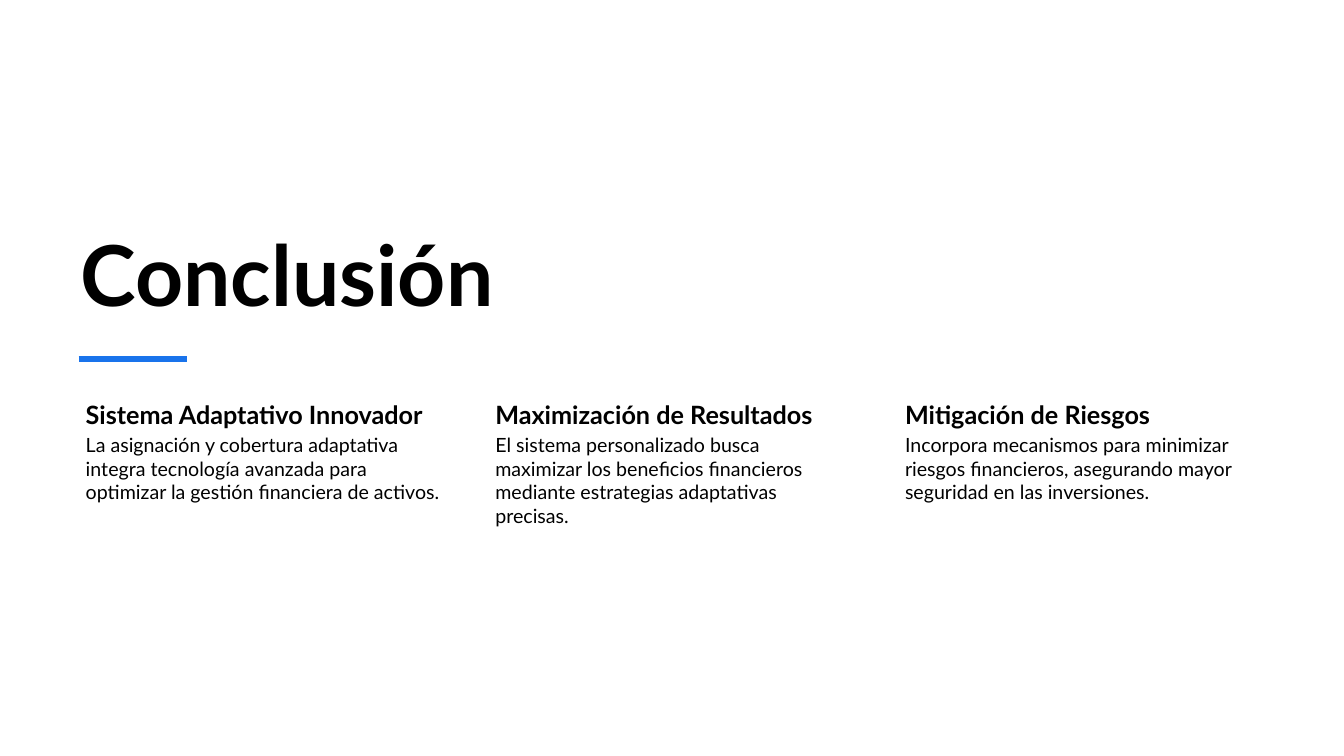
import pptx
import pptx.util
import pptx.dml.color
import pptx.enum.shapes
import pptx.enum.text
import pptx.oxml
from dataclasses import dataclass

Cm = pptx.util.Cm
Pt = pptx.util.Pt
RGB = pptx.dml.color.RGBColor
Text = pptx.enum.text


@dataclass(frozen=True)
class Theme:
    font: str = "Lato"
    ink: RGB = RGB(0, 0, 0)
    blue: RGB = RGB(0x19, 0x73, 0xEB)
    title: float = 60
    head: float = 18
    body: float = 14
    rule: float = 4.5


THEME = Theme()

POINTS = [
    ("Sistema Adaptativo Innovador",
     "La asignación y cobertura adaptativa integra tecnología avanzada "
     "para optimizar la gestión financiera de activos."),
    ("Maximización de Resultados",
     "El sistema personalizado busca maximizar los beneficios financieros "
     "mediante estrategias adaptativas precisas."),
    ("Mitigación de Riesgos",
     "Incorpora mecanismos para minimizar riesgos financieros, "
     "asegurando mayor seguridad en las inversiones."),
]


def assign(item, values):
    for name, value in values.items():
        setattr(item, name, value)


def write(shape, text, size, bold, frame):
    assign(shape.text_frame, {"word_wrap": True,
                              "auto_size": Text.MSO_AUTO_SIZE.NONE, **frame})
    line = shape.text_frame.paragraphs[0]
    line.alignment = Text.PP_ALIGN.LEFT
    run = line.add_run()
    run.text = text
    assign(run.font, {"name": THEME.font, "size": Pt(size), "bold": bold})
    run.font.color.rgb = THEME.ink


def add_title(slide, text, left, top, width, height):
    title = slide.shapes.title
    assign(title, {"left": Cm(left), "top": Cm(top),
                   "width": Cm(width), "height": Cm(height)})
    write(title, text, THEME.title, True,
          {"vertical_anchor": Text.MSO_ANCHOR.BOTTOM})


def add_rule(slide, left, top, width):
    rule = slide.shapes.add_connector(
        pptx.enum.shapes.MSO_CONNECTOR.STRAIGHT,
        Cm(left), Cm(top), Cm(left + width), Cm(top))
    rule.line.color.rgb = THEME.blue
    rule.line.width = Pt(THEME.rule)
    rule.element.spPr.append(pptx.oxml.parse_xml(
        '<a:effectLst xmlns:a='
        '"http://schemas.openxmlformats.org/drawingml/2006/main"/>'))


def add_point(slide, head, body, left, top, width, height):
    group = slide.shapes.add_group_shape()
    split = 0.89
    parts = [(head, THEME.head, True, 0, split, 0.08),
             (body, THEME.body, False, split, height - split, 0.05)]
    for text, size, bold, down, tall, pad in parts:
        box = group.shapes.add_textbox(Cm(left), Cm(top + down),
                                       Cm(width), Cm(tall))
        write(box, text, size, bold,
              {"margin_left": Cm(0.38), "margin_top": Cm(pad),
               "margin_right": Cm(pad), "margin_bottom": Cm(pad),
               "vertical_anchor": Text.MSO_ANCHOR.TOP})


def add_points(slide, points, left, top, width, height):
    gap = 0.95
    col = (width - gap * (len(points) - 1)) / len(points)
    for i, (head, body) in enumerate(points):
        add_point(slide, head, body, left + i * (col + gap), top, col, height)


def main():
    deck = pptx.Presentation()
    assign(deck, {"slide_width": Cm(33.87), "slide_height": Cm(19.05)})
    slide = deck.slides.add_slide(deck.slide_layouts.get_by_name("Title Only"))
    left = 1.78
    add_title(slide, "Conclusión", left, 4.37, 22.68, 3.91)
    add_points(slide, POINTS, left, 9.98, 30.02, 6.83)
    add_rule(slide, left + 0.2, 9.04, 2.72)
    deck.save("out.pptx")


if __name__ == "__main__":
    main()
